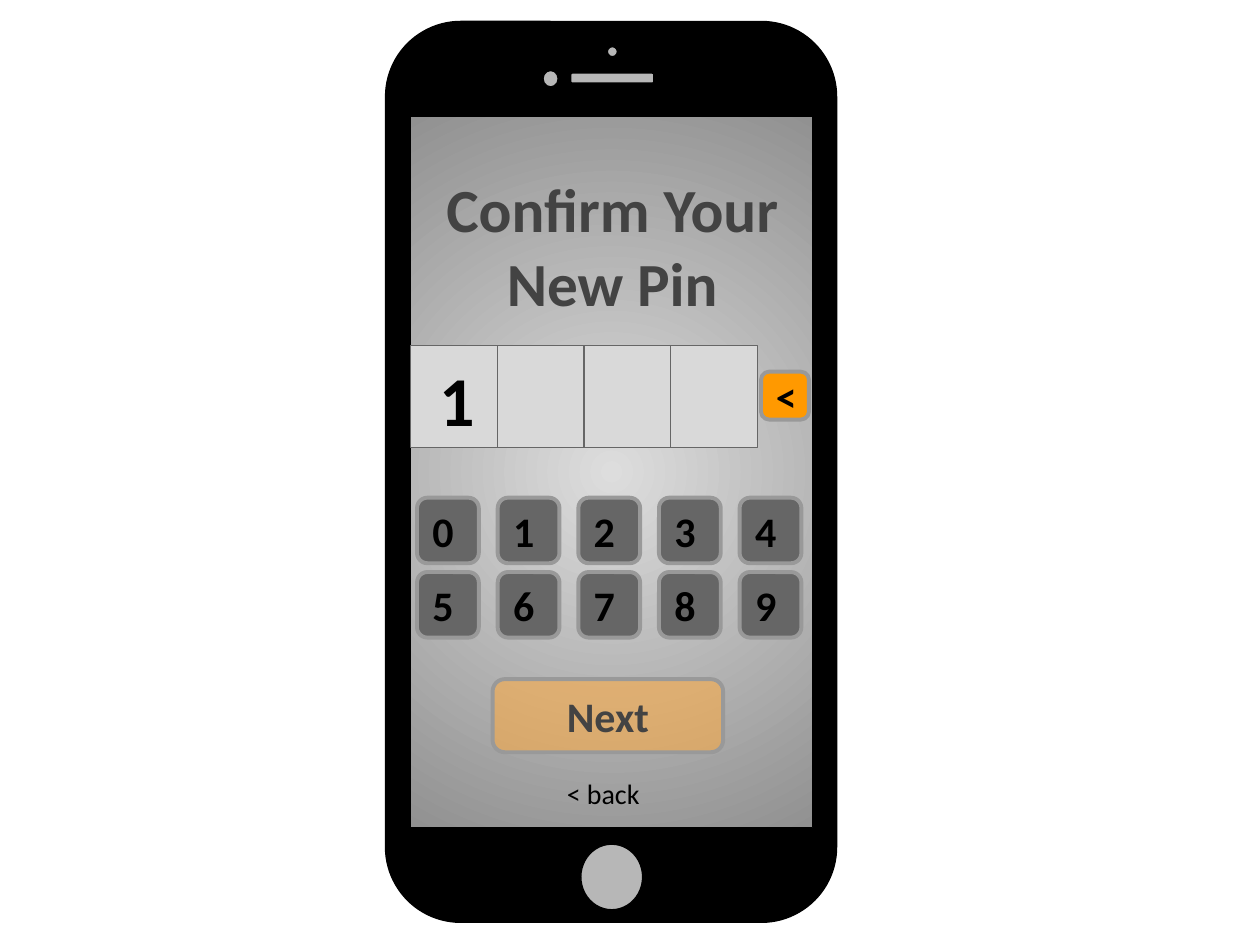
"""Builds a phone mock-up slide for confirming a new PIN."""
from dataclasses import dataclass

from lxml import etree
from pptx import Presentation
from pptx.dml.color import RGBColor
from pptx.enum.shapes import MSO_CONNECTOR, MSO_SHAPE
from pptx.enum.text import MSO_ANCHOR, MSO_AUTO_SIZE, PP_ALIGN
from pptx.oxml.ns import qn
from pptx.util import Inches, Pt

RECTANGLE, ROUNDED, OVAL = MSO_SHAPE.RECTANGLE, MSO_SHAPE.ROUNDED_RECTANGLE, MSO_SHAPE.OVAL
STRAIGHT = MSO_CONNECTOR.STRAIGHT
TOP, MIDDLE = MSO_ANCHOR.TOP, MSO_ANCHOR.MIDDLE
LEFT, CENTER = PP_ALIGN.LEFT, PP_ALIGN.CENTER
NO_FIT = MSO_AUTO_SIZE.NONE
TITLE_ONLY = 5


@dataclass(frozen=True)
class Theme:
    """Colours, font and sizes."""
    font: str = "Calibri"
    black: str = "000000"
    dark: str = "434343"
    key: str = "666666"
    key_edge: str = "999999"
    hardware: str = "B7B7B7"
    pin: str = "D9D9D9"
    glow: str = "DDDDDD"
    shade: str = "919191"
    delete: str = "FF9900"
    next: str = "FFAB40"
    next_opacity: int = 56
    title_size: float = 35
    pin_size: float = 40
    button_size: float = 24
    link_size: float = 16
    thin: float = 0.75
    thick: float = 2.25
    inset: float = 0.1


THEME = Theme()
TITLE = ("Confirm Your New Pin", (3.15, 1.26, 3.42, 0.92))
SCREEN = (3.26, 0.92, 3.19, 5.65)
BODY = (3.06, 0.17, 3.58, 7.15)
HARDWARE = [
    (OVAL, (4.61, 6.7, 0.49, 0.52)),
    (ROUNDED, (4.53, 0.58, 0.66, 0.08)),
    (OVAL, (4.82, 0.37, 0.08, 0.08)),
    (OVAL, (4.31, 0.56, 0.12, 0.13)),
]
PIN_FIELD = (3.26, 2.74, 2.75, 0.81)
PIN_CELLS = 4
PIN_DIGIT = ("1", (3.39, 2.73, 0.38, 0.52))
KEY_ROWS = ["01234", "56789"]
KEY_ORIGIN, KEY_PITCH, KEY_SIZE = (3.31, 3.95), (0.64, 0.59), (0.49, 0.52)
DELETE = ("<", (6.04, 2.95, 0.38, 0.38))
NEXT = ("Next", (3.91, 5.39, 1.83, 0.58))
BACK = ("< back", (4.4, 6.06, 0.87, 0.31))


def rgb(color):
    return RGBColor.from_string(color)


def inches(box):
    return [Inches(value) for value in box]


def add_block(shapes, kind, box, fill, edge, width=THEME.thin):
    shape = shapes.add_shape(kind, *inches(box))
    shape.shadow.inherit = False
    shape.fill.solid()
    shape.fill.fore_color.rgb = rgb(fill)
    shape.line.color.rgb = rgb(edge)
    shape.line.width = Pt(width)
    return shape


def write(shape, text, size, color=THEME.black, bold=True, align=LEFT, anchor=TOP):
    frame = shape.text_frame
    frame.text = text
    frame.word_wrap = True
    frame.auto_size = NO_FIT
    frame.vertical_anchor = anchor
    frame.margin_left = frame.margin_right = Inches(THEME.inset)
    frame.margin_top = frame.margin_bottom = Inches(THEME.inset)
    for paragraph in frame.paragraphs:
        paragraph.alignment = align
        for run in paragraph.runs:
            run.font.name = THEME.font
            run.font.size = Pt(size)
            run.font.bold = bold
            run.font.color.rgb = rgb(color)


def add_button(slide, label, box, fill, color=THEME.black, align=LEFT):
    shape = add_block(slide.shapes, ROUNDED, box, fill, THEME.key_edge, THEME.thick)
    write(shape, label, THEME.button_size, color, align=align, anchor=MIDDLE)
    return shape


def add_label(slide, text, box, size, bold):
    write(slide.shapes.add_textbox(*inches(box)), text, size, bold=bold)


def glow_from_center(shape):
    shape.fill.gradient()
    for stop, color in zip(shape.fill.gradient_stops, (THEME.glow, THEME.shade)):
        stop.color.rgb = rgb(color)
    gradient = shape.element.spPr.find(qn("a:gradFill"))
    linear = gradient.find(qn("a:lin"))
    circle = etree.Element(qn("a:path"), path="circle")
    etree.SubElement(circle, qn("a:fillToRect"), {side: "50000" for side in "ltrb"})
    gradient.replace(linear, circle)


def add_phone(slide):
    phone = slide.shapes.add_group_shape().shapes
    add_block(phone, ROUNDED, BODY, THEME.black, THEME.black)
    glow_from_center(add_block(phone, RECTANGLE, SCREEN, THEME.glow, THEME.black))
    for kind, box in HARDWARE:
        add_block(phone, kind, box, THEME.hardware, THEME.black)


def add_title(slide):
    text, box = TITLE
    title = slide.shapes.title
    title.left, title.top, title.width, title.height = inches(box)
    write(title, text, THEME.title_size, THEME.dark, align=CENTER)
    title.element.getparent().append(title.element)


def add_pin_field(slide):
    group = slide.shapes.add_group_shape().shapes
    field = add_block(group, RECTANGLE, PIN_FIELD, THEME.pin, THEME.key)
    left, top, width, height = PIN_FIELD
    for cell in range(1, PIN_CELLS):
        x = left + width * cell / PIN_CELLS
        divider = group.add_connector(STRAIGHT, *inches((x, top + height, x, top)))
        divider.line.color.rgb = rgb(THEME.key)
        divider.line.width = Pt(THEME.thin)
        etree.SubElement(divider.element.spPr, qn("a:effectLst"))
        if cell * 2 == PIN_CELLS:
            divider.begin_connect(field, 2)
            divider.end_connect(field, 0)


def add_keypad(slide):
    for row, digits in enumerate(KEY_ROWS):
        for column, digit in enumerate(digits):
            left = KEY_ORIGIN[0] + column * KEY_PITCH[0]
            top = KEY_ORIGIN[1] + row * KEY_PITCH[1]
            add_button(slide, digit, (left, top, *KEY_SIZE), THEME.key)


def add_next_button(slide):
    button = add_button(slide, *NEXT, THEME.next, THEME.dark, CENTER)
    color = button.element.spPr.find(qn("a:solidFill"))[0]
    etree.SubElement(color, qn("a:alpha"), val=str(THEME.next_opacity * 1000))


def main():
    presentation = Presentation()
    presentation.slide_width, presentation.slide_height = Inches(10), Inches(7.5)
    slide = presentation.slides.add_slide(presentation.slide_layouts[TITLE_ONLY])
    add_phone(slide)
    add_title(slide)
    add_pin_field(slide)
    add_keypad(slide)
    add_label(slide, *BACK, THEME.link_size, False)
    add_button(slide, *DELETE, THEME.delete)
    add_next_button(slide)
    add_label(slide, *PIN_DIGIT, THEME.pin_size, True)
    presentation.save("out.pptx")


if __name__ == "__main__":
    main()
